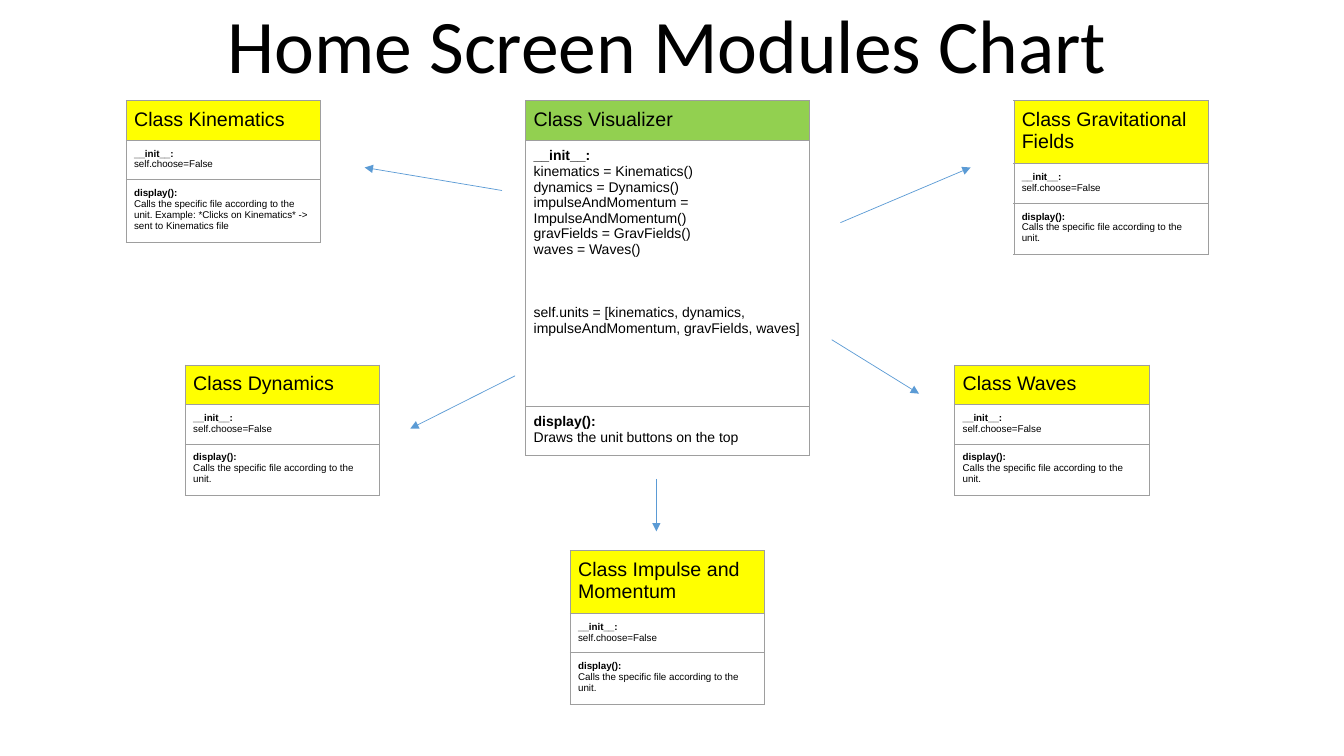
from lxml.etree import SubElement
from pptx import Presentation
from pptx.dml.color import RGBColor
from pptx.enum.shapes import MSO_CONNECTOR as Connector
from pptx.enum.text import MSO_ANCHOR as Anchor, MSO_AUTO_SIZE as AutoSize, PP_ALIGN as Align
from pptx.oxml.ns import qn
from pptx.util import Cm, Pt

BLACK, GREY, BLUE = "000000", "9E9E9E", "5B9BD5"
GREEN, YELLOW = "92D050", "FFFF00"

UNIT_WIDTH = 4.9
UNIT_INIT = ["self.choose=False"]
UNIT_DISPLAY = "Calls the specific file according to the unit."
KINEMATICS_DISPLAY = (UNIT_DISPLAY + " Example: *Clicks on Kinematics* -> "
                      "sent to Kinematics file")
# Name, left, top, row heights (cm), display text
UNITS = [
    ("Class Kinematics", 3.18, 2.54, (0.98, 0.96, 1.54), KINEMATICS_DISPLAY),
    ("Class Gravitational Fields", 25.55, 2.54, (1.54, 0.96, 1.26), UNIT_DISPLAY),
    ("Class Dynamics", 4.67, 9.2, (0.98, 0.96, 1.26), UNIT_DISPLAY),
    ("Class Waves", 24.06, 9.2, (0.98, 0.96, 1.26), UNIT_DISPLAY),
    ("Class Impulse and Momentum", 14.37, 13.87, (1.54, 0.96, 1.26), UNIT_DISPLAY),
]
VISUALIZER_INIT = [
    "kinematics = Kinematics()",
    "dynamics = Dynamics()",
    "impulseAndMomentum = ImpulseAndMomentum()",
    "gravFields = GravFields()",
    "waves = Waves()",
    "self.units = [kinematics, dynamics, impulseAndMomentum, gravFields, waves]",
]
# Start x, start y, end x, end y (cm)
ARROWS = [
    (21.18, 5.61, 24.46, 4.22),
    (20.96, 8.56, 23.16, 9.92),
    (12.65, 4.8, 9.19, 4.22),
    (12.98, 9.47, 10.34, 10.8),
    (16.54, 12.07, 16.54, 13.39),
]


def color(hex_value):
    return RGBColor.from_string(hex_value)


def write(paragraph, text, size=10, bold=False, font="Arial", align=Align.LEFT, before=0):
    paragraph.alignment = align
    paragraph.space_before = Pt(before)
    run = paragraph.add_run()
    run.text = text
    run.font.size = Pt(size)
    run.font.bold = bold
    run.font.name = font
    run.font.color.rgb = color(BLACK)


def add_borders(cell):
    properties = cell._tc.get_or_add_tcPr()
    for side in ("a:lnL", "a:lnR", "a:lnT", "a:lnB"):
        border = SubElement(properties, qn(side), w=str(Pt(0.6)))
        fill = SubElement(border, qn("a:solidFill"))
        SubElement(fill, qn("a:srgbClr"), val=GREY)


def format_cell(cell, fill=None):
    cell.margin_left = cell.margin_right = Cm(0.2)
    cell.margin_top = cell.margin_bottom = Cm(0.2)
    cell.vertical_anchor = Anchor.TOP
    add_borders(cell)
    if fill:
        cell.fill.solid()
        cell.fill.fore_color.rgb = color(fill)
    else:
        cell.fill.background()


def write_method(cell, signature, body, size, last_gap=0):
    """Write a bold signature and its body lines, with a gap before the last one."""
    frame = cell.text_frame
    write(frame.paragraphs[0], signature, size=size, bold=True)
    for line in body:
        gap = last_gap if line == body[-1] else 0
        write(frame.add_paragraph(), line, size=size, before=gap)


def add_class(slide, name, left, top, heights, display, width=UNIT_WIDTH,
              init=UNIT_INIT, size=7, fill=YELLOW, last_gap=0):
    table = slide.shapes.add_table(3, 1, Cm(left), Cm(top), Cm(width),
                                   Cm(sum(heights))).table
    table.first_row = table.horz_banding = False
    for row, height in zip(table.rows, heights):
        row.height = Cm(height)
    heading, init_cell, display_cell = table.iter_cells()
    format_cell(heading, fill)
    format_cell(init_cell)
    format_cell(display_cell)
    write(heading.text_frame.paragraphs[0], name, size=14)
    write_method(init_cell, "__init__:", init, size, last_gap)
    write_method(display_cell, "display():", [display], size)


def add_arrow(slide, *ends):
    arrow = slide.shapes.add_connector(Connector.STRAIGHT, *map(Cm, ends))
    arrow.line.color.rgb = color(BLUE)
    arrow.line.width = Pt(0.5)
    SubElement(arrow.line._get_or_add_ln(), qn("a:tailEnd"), type="triangle")
    SubElement(arrow._element.spPr, qn("a:effectLst"))


def set_title(slide, text):
    title = slide.shapes.title
    title.left, title.top, title.width, title.height = map(Cm, (5.36, -0.18, 22.91, 2.57))
    frame = title.text_frame
    frame.word_wrap = False
    frame.auto_size = AutoSize.SHAPE_TO_FIT_TEXT
    frame.vertical_anchor = Anchor.TOP
    write(frame.paragraphs[0], text, size=54, font="Calibri", align=Align.CENTER)


def main():
    deck = Presentation()
    deck.slide_width, deck.slide_height = Cm(33.87), Cm(19.05)
    slide = deck.slides.add_slide(deck.slide_layouts[5])
    set_title(slide, "Home Screen Modules Chart")
    add_class(slide, "Class Visualizer", 13.25, 2.54, (0.98, 6.7, 1.21),
              "Draws the unit buttons on the top", width=7.14,
              init=VISUALIZER_INIT, size=10, fill=GREEN, last_gap=34)
    for unit in UNITS:
        add_class(slide, *unit)
    for ends in ARROWS:
        add_arrow(slide, *ends)
    deck.save("out.pptx")


if __name__ == "__main__":
    main()
